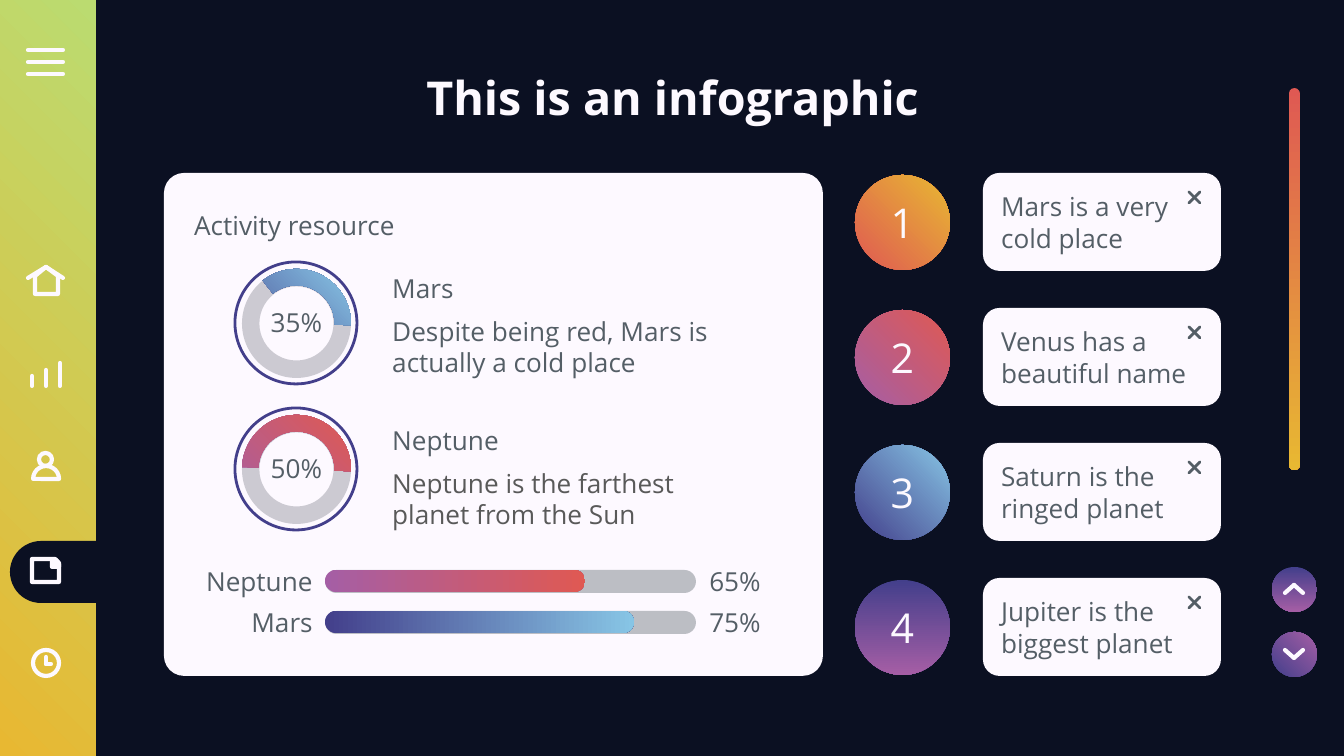
"""Build a dark dashboard infographic slide about the planets."""
from dataclasses import dataclass

from lxml import etree
from pptx import Presentation
from pptx.dml.color import RGBColor
from pptx.enum.shapes import MSO_CONNECTOR, MSO_SHAPE
from pptx.enum.text import MSO_ANCHOR, PP_ALIGN
from pptx.oxml.ns import qn
from pptx.util import Inches, Pt

PX = 914400 / 134.4
OVAL, RECT, PILL = MSO_SHAPE.OVAL, MSO_SHAPE.RECTANGLE, MSO_SHAPE.ROUNDED_RECTANGLE
TAB, SNIP, PIE = MSO_SHAPE.ROUND_2_SAME_RECTANGLE, MSO_SHAPE.SNIP_1_RECTANGLE, MSO_SHAPE.PIE
DONUT, ARC = MSO_SHAPE.DONUT, MSO_SHAPE.BLOCK_ARC
STRAIGHT = MSO_CONNECTOR.STRAIGHT
LEFT, MID, RIGHT = PP_ALIGN.LEFT, PP_ALIGN.CENTER, PP_ALIGN.RIGHT
MIDDLE = MSO_ANCHOR.MIDDLE


@dataclass(frozen=True)
class Theme:
    """Colours, font and type sizes of the slide."""
    font: str = "Open Sans"
    dark: str = "0B1022"
    light: str = "FDF9FF"
    ink: str = "545E66"
    gray: str = "595959"
    indigo: str = "433F8B"
    sky: str = "87C5E5"
    plum: str = "A55EA5"
    red: str = "DF5953"
    gold: str = "E8B832"
    lime: str = "BBDB70"
    title: int = 25
    digit: int = 22
    body: int = 14
    bold: float = 2.25
    thin: float = 1.5


T = Theme()


def emu(*sizes):
    """Turn px into EMU."""
    return [round(size * PX) for size in sizes]


def rgb(code):
    """Turn a hex code into a colour."""
    return RGBColor.from_string(code)


def paint(shape, fill=None, line=None, width=T.bold, angle=45, alpha=None):
    """Set a plain, two-colour or empty fill and an optional outline."""
    shape.shadow.inherit = False
    if fill is None:
        shape.fill.background()
    elif isinstance(fill, tuple):
        shape.fill.gradient()
        shape.fill.gradient_angle = angle
        for stop, code in zip(shape.fill.gradient_stops, fill):
            stop.color.rgb = rgb(code)
    else:
        shape.fill.solid()
        shape.fill.fore_color.rgb = rgb(fill)
        if alpha:
            node = shape.fill._xPr.find(".//" + qn("a:srgbClr"))
            etree.SubElement(node, qn("a:alpha"), val=str(alpha * 1000))
    if line:
        shape.line.color.rgb = rgb(line)
        shape.line.width = Pt(width)
    else:
        shape.line.fill.background()


def draw(slide, kind, box, fill=None, adj=(), **look):
    """Add a preset shape with its look."""
    shape = slide.shapes.add_shape(kind, *emu(*box))
    for spot, value in enumerate(adj):
        shape.adjustments[spot] = value
    paint(shape, fill, **look)
    return shape


def stroke(slide, x, y, points, color=T.light, width=T.bold):
    """Join points, given relative to x and y, with round-ended lines."""
    for (ax, ay), (bx, by) in zip(points, points[1:]):
        line = slide.shapes.add_connector(STRAIGHT, *emu(x + ax, y + ay, x + bx, y + by))
        line.line.color.rgb = rgb(color)
        line.line.width = Pt(width)
        props = line._element.spPr
        props.find(qn("a:ln")).set("cap", "rnd")
        etree.SubElement(props, qn("a:effectLst"))


def outline(slide, x, y, points, fill=None):
    """Add a closed outline with points relative to x and y."""
    spots = [(x + dx, y + dy) for dx, dy in points]
    maker = slide.shapes.build_freeform(*spots[0], scale=PX)
    maker.add_line_segments(spots[1:], close=True)
    paint(maker.convert_to_shape(), fill, T.light)


def write(shape, text, size=T.body, color=T.ink, align=LEFT, bold=False):
    """Set and format the text of a shape."""
    frame = shape.text_frame
    frame.text = text
    frame.word_wrap = True
    frame.vertical_anchor = MIDDLE
    frame.margin_left = frame.margin_right = Inches(0.1)
    frame.margin_top = frame.margin_bottom = Inches(0.1)
    para = frame.paragraphs[0]
    para.alignment = align
    font = para.runs[0].font
    font.name, font.size, font.bold = T.font, Pt(size), bold
    font.color.rgb = rgb(color)


def label(slide, box, text, **style):
    """Add a text box."""
    write(slide.shapes.add_textbox(*emu(*box)), text, **style)


def head(slide, box, text):
    """Place the title."""
    title = slide.shapes.title
    title.left, title.top, title.width, title.height = emu(*box)
    write(title, text, T.title, T.light, MID, True)


def rail(slide, box):
    """Draw the side rail with its icons."""
    x, y, w, h = box
    draw(slide, RECT, box, (T.gold, T.lime))
    tab = draw(slide, TAB, (x + 28, y + 523, 62, 98), T.dark, (0.5, 0))
    tab.rotation = 270
    x += 28
    for row in range(3):
        stroke(slide, x, y + 50 + 12 * row, [(0, 0), (35, 0)])
    stroke(slide, x, y + 267, [(0, 11), (18, 0), (35, 11)])
    outline(slide, x, y + 267, [(7, 9), (7, 27), (30, 27), (30, 9), (18, 0)])
    for step, rise in enumerate((10, 16, 23)):
        stroke(slide, x + 4 + 14 * step, y + 386, [(0, -rise), (0, 0)])
    draw(slide, OVAL, (x + 11, y + 453, 13, 13), line=T.light)
    torso = draw(slide, PIE, (x + 5, y + 466, 26, 26), adj=(54.33, 162), line=T.light)
    torso.rotation = 90
    draw(slide, SNIP, (x + 4, y + 559, 27, 23), adj=(0.17,), line=T.light)
    outline(slide, x + 24, y + 560, [(0, 0), (4, 0), (7, 4), (7, 7), (0, 7)], T.light)
    draw(slide, OVAL, (x + 5, y + 650, 26, 26), line=T.light)
    stroke(slide, x + 18, y + 657, [(0, 0), (0, 7), (5, 7)])


def gauge(slide, box, text, start, fill):
    """Draw a ring gauge with its share in the middle."""
    x, y, w, h = box
    inner = (x + 7, y + 7, w - 13, h - 13)
    draw(slide, OVAL, box, line=T.indigo, width=T.thin)
    draw(slide, DONUT, inner, T.dark, (0.16,), alpha=20)
    draw(slide, ARC, inner, fill, (start, 1.16, 0.15))
    label(slide, (x + 7, y + 31, w - 13, 59), text, align=MID)


def meter(slide, box, name, text, done, fill):
    """Draw a progress bar between its name and value."""
    x, y, w, h = box
    draw(slide, PILL, box, T.ink, (0.5,), alpha=38)
    draw(slide, PILL, (x, y, done, h - 1), fill, (0.5,), angle=0)
    label(slide, (x - 135, y - 7, 136, 36), name, align=RIGHT)
    label(slide, (x + w, y - 7, 101, 36), text)


def panel(slide, box):
    """Draw the activity panel."""
    x, y, w, h = box
    cool, warm = (T.indigo, T.sky), (T.plum, T.red)
    draw(slide, PILL, box, T.light, (0.04,))
    label(slide, (x + 17, y + 23, 352, 59), "Activity resource")
    rows = [
        ("Mars", "Despite being red, Mars is actually a cold place", T.ink, "35%", 139.07, cool),
        ("Neptune", "Neptune is the farthest planet from the Sun", T.gray, "50%", 109.52, warm),
    ]
    for row, (name, note, color, share, start, fill) in enumerate(rows):
        gauge(slide, (x + 71, y + 89 + 146 * row, 122, 122), share, start, fill)
        top = y + 93 + 152 * row
        label(slide, (x + 215, top, 208, 44), name)
        label(slide, (x + 215, top + 47, 371, 67), note, color=color)
    bars = [("Neptune", "65%", 260, warm), ("Mars", "75%", 309, cool)]
    for row, bar in enumerate(bars):
        meter(slide, (x + 161, y + 397 + 41 * row, 371, 23), *bar)


def facts(slide, box):
    """Draw the numbered facts down the box."""
    x, y, w, h = box
    rows = [
        ("Mars is a very cold place", (T.red, T.gold), 45),
        ("Venus has a beautiful name", (T.plum, T.red), 45),
        ("Saturn is the ringed planet", (T.indigo, T.sky), 45),
        ("Jupiter is the biggest planet", (T.indigo, T.plum), 270),
    ]
    for row, (text, fill, angle) in enumerate(rows):
        top = y + 135 * row
        disc = draw(slide, OVAL, (x, top + 2, 95, 95), fill, angle=angle)
        write(disc, str(row + 1), T.digit, T.light, MID)
        card = draw(slide, PILL, (x + 128, top, w - 128, 98), T.light, (0.17,))
        write(card, text)
        for ends in ([(0, 0), (11, 11)], [(11, 0), (0, 11)]):
            stroke(slide, x + 334, top + 19, ends, T.ink, T.thin)


def scroll(slide, box):
    """Draw the scroll bar and its two buttons."""
    x, y, w, h = box
    draw(slide, PILL, (x + 17, y, 11, 382), (T.red, T.gold), (0.5,), angle=270)
    for top, angle, ends, tip in ((479, 270, 26, 18), (544, 45, 18, 26)):
        draw(slide, OVAL, (x, y + top, w, w), (T.indigo, T.plum), angle=angle)
        stroke(slide, x, y + top, [(13, ends), (22, tip), (31, ends)])


def main():
    """Build and save the slide."""
    deck = Presentation()
    deck.slide_width, deck.slide_height = emu(1344, 756)
    slide = deck.slides.add_slide(deck.slide_layouts[5])
    slide.background.fill.solid()
    slide.background.fill.fore_color.rgb = rgb(T.dark)
    rail(slide, (0, 0, 96, 756))
    head(slide, (106, 54, 1133, 85), "This is an infographic")
    facts(slide, (855, 173, 366, 503))
    panel(slide, (164, 173, 659, 503))
    scroll(slide, (1272, 88, 45, 589))
    deck.save("out.pptx")


if __name__ == "__main__":
    main()
